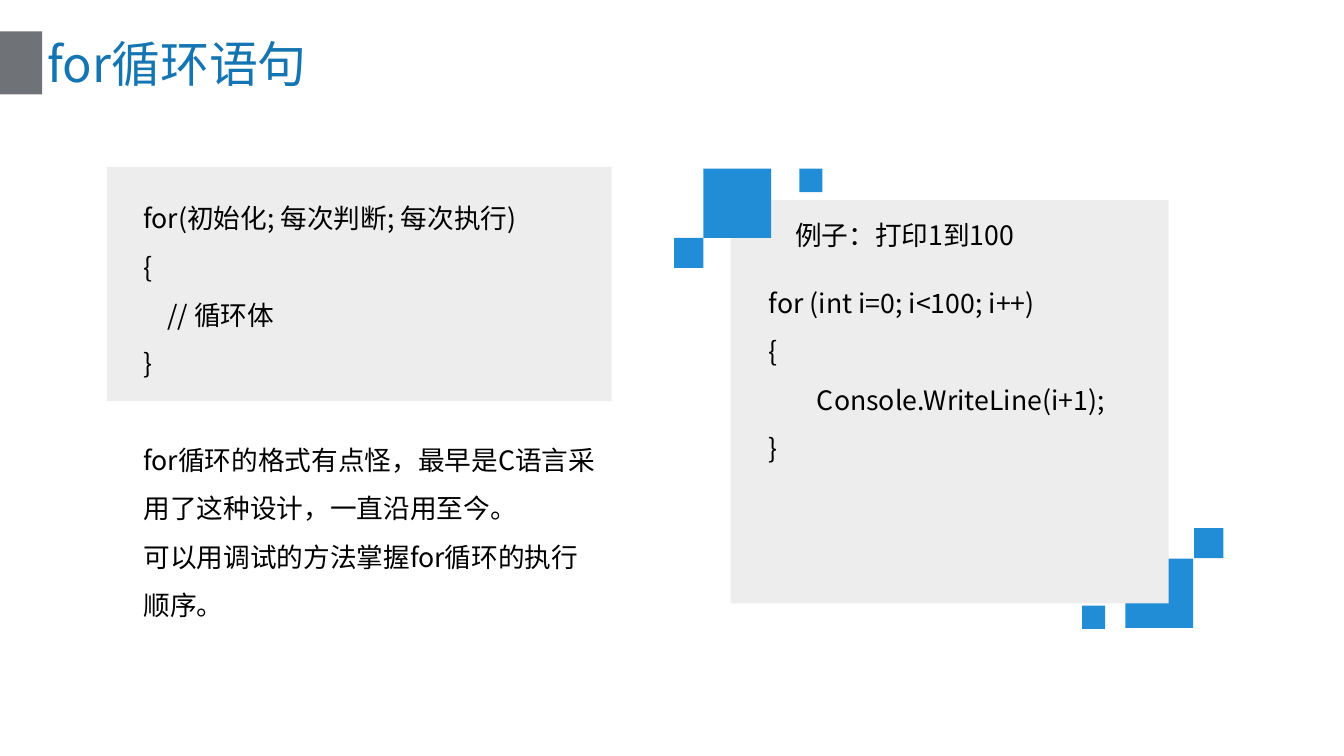
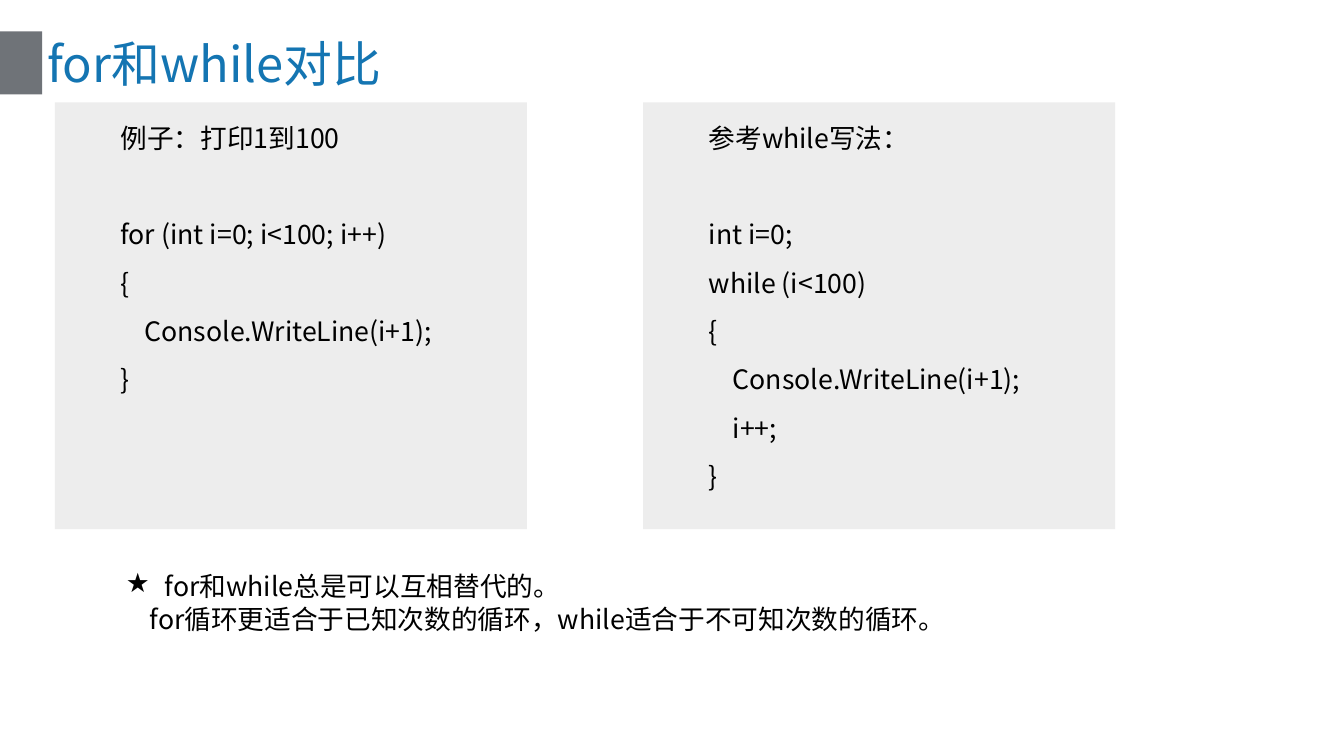
"""Build two slides about the for loop and how it compares with while."""
from lxml.etree import SubElement
from pptx import Presentation
from pptx.dml.color import RGBColor
from pptx.enum.shapes import MSO_SHAPE as Shape
from pptx.enum.text import MSO_ANCHOR as Anchor
from pptx.oxml.ns import qn
from pptx.util import Inches, Pt

WHITE = RGBColor(0xFF, 0xFF, 0xFF)
BLACK = RGBColor(0x00, 0x00, 0x00)
GREY = RGBColor(0x6F, 0x73, 0x78)
PANEL = RGBColor(0xED, 0xED, 0xED)
BLUE = RGBColor(0x21, 0x8D, 0xD6)
TITLE_BLUE = RGBColor(0x14, 0x75, 0xB2)
FONT = "Noto Sans CJK SC"
BODY_SIZE = 36
TITLE_SIZE = 66
LINE_HEIGHT = 1.21
CODE_SPACING = 1.5
BLANK_LINE = 65
TAB = 0.45
STAR_INDENT = 0.73
SQUARE_SIZES = [(1.27, 1.3), (0.55, 0.56), (0.43, 0.44)]
EXAMPLE_HEADING = "例子：打印1到100"
FOR_HEADER = "for (int i=0; i<100; i++)"
PRINT_CALL = "Console.WriteLine(i+1);"


def add_block(shapes, left, top, width, height, color):
    """Add a plain filled rectangle."""
    block = shapes.add_shape(Shape.RECTANGLE, Inches(left), Inches(top), Inches(width), Inches(height))
    block.shadow.inherit = False
    block.fill.solid()
    block.fill.fore_color.rgb = color
    block.line.fill.background()


def add_squares(page, corners):
    """Add a group of a large, a medium and a small blue square."""
    group = page.shapes.add_group_shape()
    for corner, size in zip(corners, SQUARE_SIZES):
        add_block(group.shapes, *corner, *size, BLUE)


def style_paragraph(para, size, color, spacing):
    """Set the font and the line height of a paragraph."""
    para.line_spacing = Pt(round(size * LINE_HEIGHT * spacing, 1))
    para.font.size = Pt(size)
    para.font.color.rgb = color
    para.font.name = FONT
    defaults = para._p.pPr.find(qn("a:defRPr"))
    SubElement(defaults, qn("a:ea")).set("typeface", FONT)


def indent(para, left, bullet=None):
    """Indent a paragraph, hanging it from a bullet if one is given."""
    properties = para._p.get_or_add_pPr()
    properties.set("marL", str(Inches(left)))
    properties.set("indent", str(-Inches(left) if bullet else 0))
    if bullet:
        mark = SubElement(properties, qn("a:buChar"))
        mark.set("char", bullet)
        properties.find(qn("a:defRPr")).addprevious(mark)


def add_text(page, left, top, width, height, lines, size=BODY_SIZE, color=BLACK, spacing=CODE_SPACING):
    """Add a text box; each tab that starts a line is one indent step."""
    box = page.shapes.add_textbox(Inches(left), Inches(top), Inches(width), Inches(height))
    frame = box.text_frame
    frame.word_wrap = True
    for number, line in enumerate(lines):
        para = frame.paragraphs[0] if number == 0 else frame.add_paragraph()
        para.text = line.lstrip("\t")
        style_paragraph(para, size, color, spacing)
        depth = len(line) - len(para.text)
        if depth:
            indent(para, depth * TAB)
    return frame


def add_page(deck, title):
    """Add a white page with the grey band and its title."""
    page = deck.slides.add_slide(deck.slide_layouts[6])
    page.background.fill.solid()
    page.background.fill.fore_color.rgb = WHITE
    add_block(page.shapes, 0, 0.59, 0.79, 1.18, GREY)
    frame = add_text(page, 0.79, 0.57, 23.62, 1.2, [title], TITLE_SIZE, TITLE_BLUE, 1)
    frame.vertical_anchor = Anchor.MIDDLE
    return page


def add_code_panel(page, left, heading, code):
    """Add a grey panel with a heading above its code."""
    add_block(page.shapes, left, 1.92, 8.85, 8, PANEL)
    frame = add_text(page, left + 1.13, 1.92, 8.32, 7.37, [heading, *code])
    frame.paragraphs[1].space_before = Pt(BLANK_LINE)


def build_syntax_page(deck):
    """Show the form of the for loop and an example."""
    page = add_page(deck, "for循环语句")
    add_block(page.shapes, 2.01, 3.13, 9.46, 4.39, PANEL)
    syntax = ["for(初始化; 每次判断; 每次执行)", "{", "\t// 循环体", "}"]
    remarks = ["for循环的格式有点怪，最早是C语言采用了这种设计，一直沿用至今。",
               "可以用调试的方法掌握for循环的执行顺序。"]
    frame = add_text(page, 2.59, 3.43, 8.7, 8.28, syntax + remarks)
    frame.paragraphs[len(syntax)].space_before = Pt(BLANK_LINE)
    add_squares(page, [(21.1, 10.47), (22.39, 9.9), (20.29, 11.35)])
    add_block(page.shapes, 13.7, 3.75, 8.21, 7.56, PANEL)
    add_squares(page, [(13.19, 3.16), (12.64, 4.46), (14.99, 3.16)])
    add_text(page, 14.81, 3.75, 7.01, 1.01, [EXAMPLE_HEADING])
    add_text(page, 14.32, 5.02, 7.01, 3.73, [FOR_HEADER, "{", "\t\t" + PRINT_CALL, "}"])


def build_comparison_page(deck):
    """Set the for loop beside the while loop."""
    page = add_page(deck, "for和while对比")
    add_code_panel(page, 1.03, EXAMPLE_HEADING, [FOR_HEADER, "{", "\t" + PRINT_CALL, "}"])
    add_code_panel(page, 12.06, "参考while写法：",
                   ["int i=0;", "while (i<100)", "{", "\t" + PRINT_CALL, "\ti++;", "}"])
    summary = ["for和while总是可以互相替代的。",
               "\tfor循环更适合于已知次数的循环，while适合于不可知次数的循环。"]
    frame = add_text(page, 2.26, 10.63, 17, 1.31, summary, spacing=1)
    indent(frame.paragraphs[0], STAR_INDENT, "★")


def main():
    """Build the deck and save it."""
    deck = Presentation()
    deck.slide_width = Inches(25.2)
    deck.slide_height = Inches(14.17)
    build_syntax_page(deck)
    build_comparison_page(deck)
    deck.save("out.pptx")


if __name__ == "__main__":
    main()
